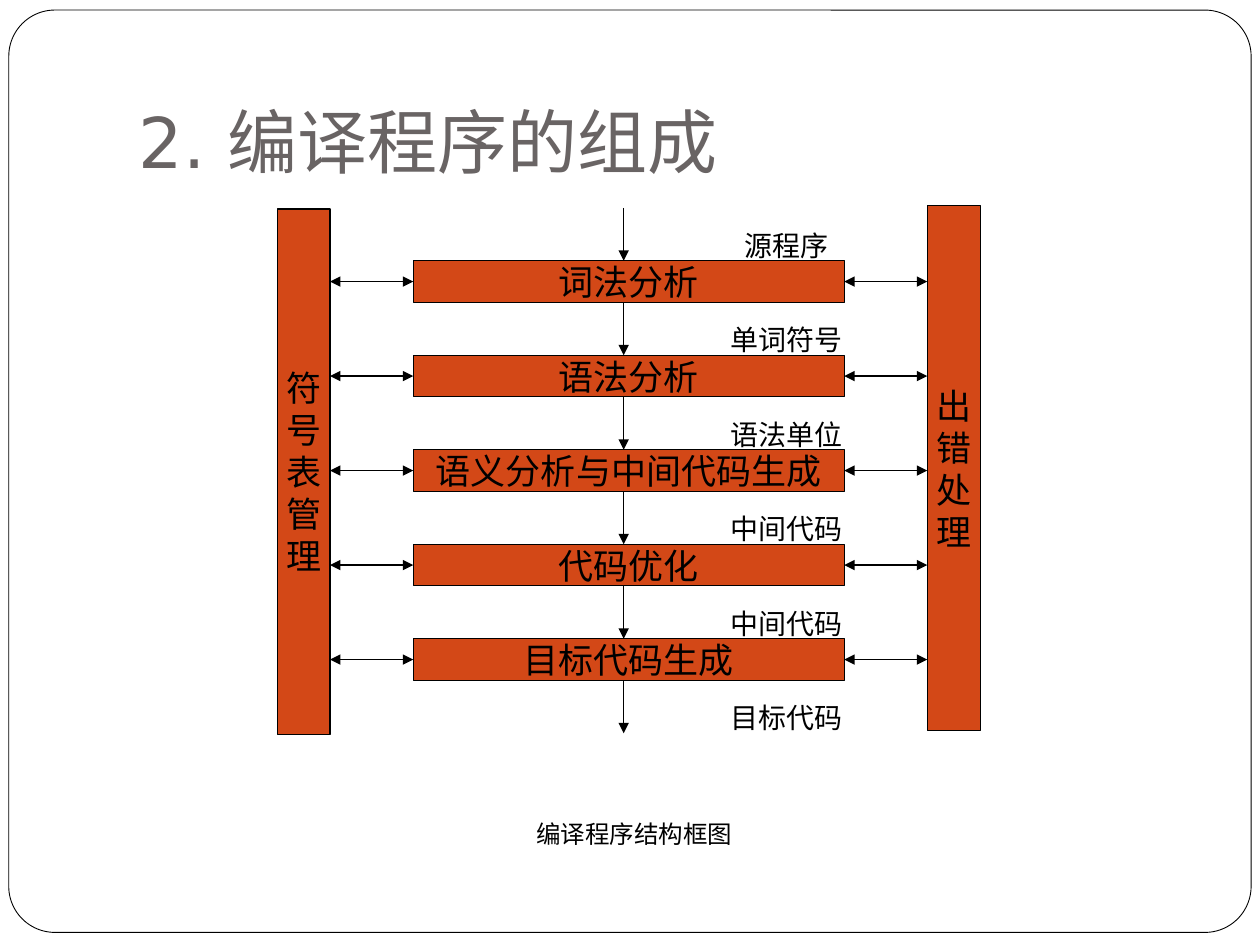
from dataclasses import dataclass

from lxml.etree import SubElement
from pptx import Presentation
from pptx.dml.color import RGBColor
from pptx.enum.shapes import MSO_CONNECTOR as Connector, MSO_SHAPE as Preset
from pptx.enum.text import MSO_ANCHOR as Anchor, MSO_AUTO_SIZE as AutoSize, PP_ALIGN as Align
from pptx.oxml.ns import qn
from pptx.util import Inches, Pt


@dataclass(frozen=True)
class Theme:
    font: str = "DejaVu Sans"
    paper: RGBColor = RGBColor(0xFF, 0xFF, 0xFF)
    ink: RGBColor = RGBColor(0x00, 0x00, 0x00)
    title: RGBColor = RGBColor(0x69, 0x64, 0x64)
    block: RGBColor = RGBColor(0xD3, 0x48, 0x17)
    title_size: int = 40
    block_size: int = 20
    label_size: int = 16
    caption_size: int = 14
    line: float = 0.75
    frame_line: float = 0.5


@dataclass(frozen=True)
class Area:
    left: float
    top: float
    width: float
    height: float

    @property
    def right(self) -> float:
        return self.left + self.width

    @property
    def middle(self) -> float:
        return self.top + self.height / 2

    def lengths(self) -> tuple:
        return tuple(Inches(v) for v in (self.left, self.top, self.width, self.height))


@dataclass(frozen=True)
class Manager:
    """A tall bar beside the phases, its name set one character a line."""
    name: str
    area: Area


THEME = Theme()
PHASES = ["词法分析", "语法分析", "语义分析与中间代码生成", "代码优化", "目标代码生成"]
FLOWS = ["源程序", "单词符号", "语法单位", "中间代码", "中间代码", "目标代码"]
SYMBOLS = Manager("符号表管理", Area(2.2, 1.66, 0.42, 4.17))
ERRORS = Manager("出错处理", Area(7.36, 1.63, 0.42, 4.17))
FIRST_PHASE = Area(3.28, 2.07, 3.42, 0.33)
PITCH = 0.75
FLOW_X = 4.95
FLOW_LENGTH = PITCH - FIRST_PHASE.height


def write(shape, text: str, *, size: float, color=THEME.ink, align=Align.CENTER,
          anchor=Anchor.MIDDLE, wrap: bool = False) -> None:
    frame = shape.text_frame
    frame.auto_size = AutoSize.NONE
    frame.word_wrap = wrap
    frame.vertical_anchor = anchor
    frame.text = text
    for paragraph in frame.paragraphs:
        paragraph.alignment = align
        paragraph.font.name = THEME.font
        paragraph.font.size = Pt(size)
        paragraph.font.color.rgb = color


def add_panel(slide, preset, area: Area, fill: RGBColor, line: float):
    panel = slide.shapes.add_shape(preset, *area.lengths())
    panel.shadow.inherit = False
    panel.fill.solid()
    panel.fill.fore_color.rgb = fill
    panel.line.color.rgb = THEME.ink
    panel.line.width = Pt(line)
    return panel


def add_block(slide, text: str, area: Area):
    block = add_panel(slide, Preset.RECTANGLE, area, THEME.block, THEME.line)
    write(block, text, size=THEME.block_size)
    return block


def add_label(slide, text: str, area: Area, size: float) -> None:
    write(slide.shapes.add_textbox(*area.lengths()), text, size=size)


def add_arrow(slide, start: tuple[float, float], end: tuple[float, float],
              both_ways: bool = False):
    arrow = slide.shapes.add_connector(
        Connector.STRAIGHT, *(Inches(v) for v in (*start, *end)))
    arrow.line.color.rgb = THEME.ink
    arrow.line.width = Pt(THEME.line)
    stroke = arrow.line._get_or_add_ln()
    for tip in ["a:headEnd", "a:tailEnd"] if both_ways else ["a:tailEnd"]:
        SubElement(stroke, qn(tip), type="triangle")
    SubElement(arrow._element.spPr, qn("a:effectLst"))
    return arrow


def add_frame(slide) -> None:
    """Draw the rounded page border behind everything else."""
    border = add_panel(slide, Preset.ROUNDED_RECTANGLE, Area(0.07, 0.08, 9.86, 7.32),
                       THEME.paper, THEME.frame_line)
    border.adjustments[0] = 0.05
    slide.shapes._spTree.insert(2, border._element)


def add_title(slide, text: str) -> None:
    title = slide.shapes.title
    title.left, title.top, title.width, title.height = Area(1, 0.3, 8.5, 1.25).lengths()
    write(title, text, size=THEME.title_size, color=THEME.title,
          align=Align.LEFT, anchor=Anchor.BOTTOM, wrap=True)
    title.text_frame.margin_bottom = Inches(0.1)


def add_phase(slide, name: str, area: Area) -> None:
    """Draw a phase and its two-way arrows to both managers."""
    phase = add_block(slide, name, area)
    to_symbols = add_arrow(slide, (SYMBOLS.area.right, area.middle),
                           (area.left, area.middle), both_ways=True)
    to_symbols.end_connect(phase, 1)
    to_errors = add_arrow(slide, (area.right, area.middle),
                          (ERRORS.area.left, area.middle), both_ways=True)
    to_errors.begin_connect(phase, 3)


def add_flow(slide, name: str, end_y: float) -> None:
    """Draw a downward arrow and the name of what it carries."""
    add_arrow(slide, (FLOW_X, end_y - FLOW_LENGTH), (FLOW_X, end_y))
    add_label(slide, name, Area(5.7, end_y - 0.25, 1.08, 0.25), THEME.label_size)


def main() -> None:
    deck = Presentation()
    deck.slide_width, deck.slide_height = Inches(10), Inches(7.5)
    slide = deck.slides.add_slide(deck.slide_layouts[5])
    add_frame(slide)
    add_title(slide, "2. 编译程序的组成")
    for manager in (SYMBOLS, ERRORS):
        add_block(slide, "\n".join(manager.name), manager.area)
    for row, name in enumerate(PHASES):
        add_phase(slide, name, Area(FIRST_PHASE.left, FIRST_PHASE.top + row * PITCH,
                                    FIRST_PHASE.width, FIRST_PHASE.height))
    for row, name in enumerate(FLOWS):
        add_flow(slide, name, FIRST_PHASE.top + row * PITCH)
    add_label(slide, "编译程序结构框图", Area(2.7, 6.49, 4.67, 0.25), THEME.caption_size)
    deck.save("out.pptx")


if __name__ == "__main__":
    main()
